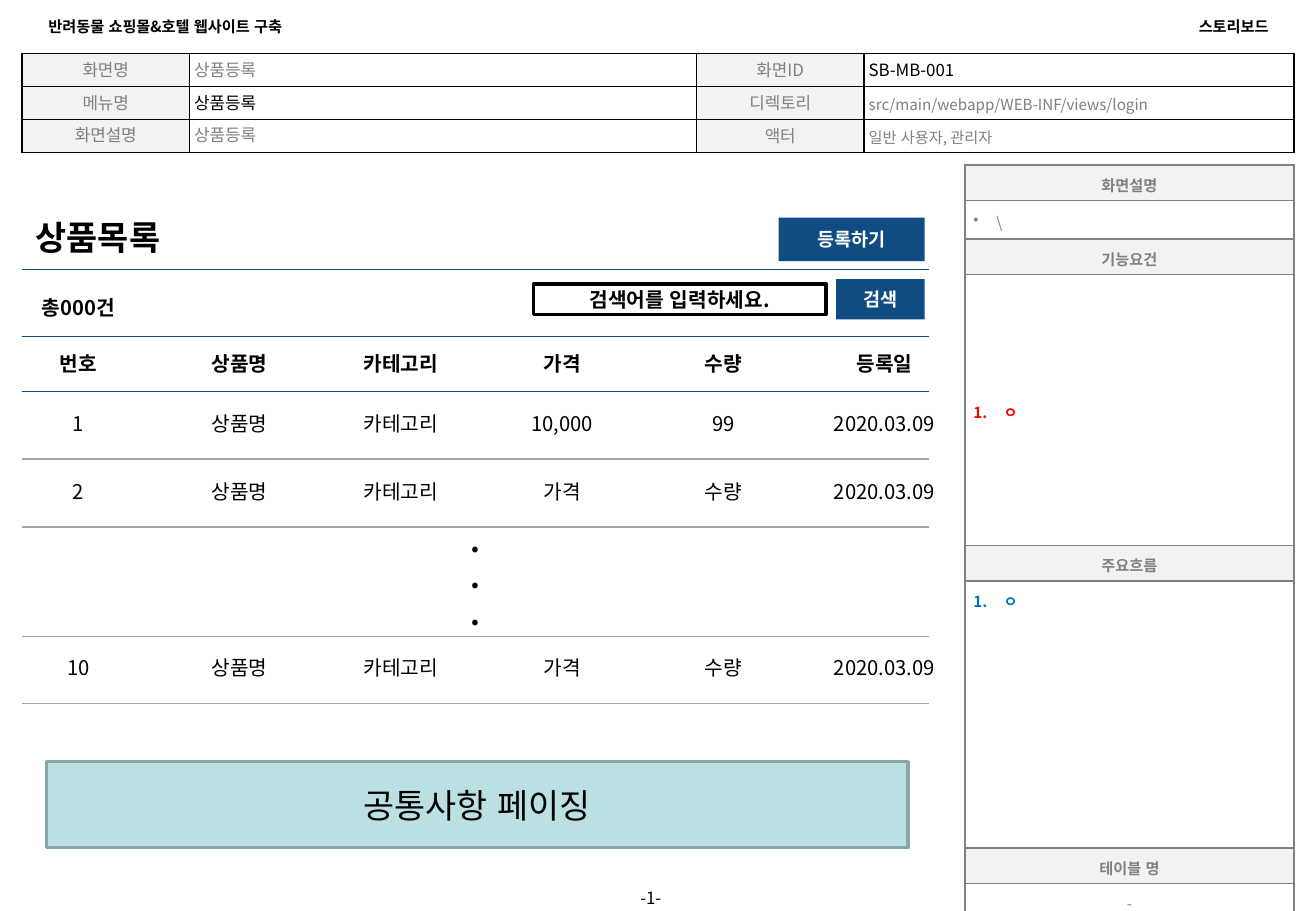
import lxml.etree
import pptx
import pptx.dml.color
import pptx.enum.dml
import pptx.enum.lang
import pptx.enum.shapes
import pptx.enum.text
import pptx.oxml
import pptx.oxml.ns
import pptx.util

Cm = pptx.util.Cm
Pt = pptx.util.Pt
qn = pptx.oxml.ns.qn
colour = pptx.dml.color.RGBColor.from_string
LEFT, CENTER, RIGHT = (getattr(pptx.enum.text.PP_ALIGN, name) for name in ("LEFT", "CENTER", "RIGHT"))
MIDDLE, TOP = pptx.enum.text.MSO_ANCHOR.MIDDLE, pptx.enum.text.MSO_ANCHOR.TOP
FONT = "Noto Sans CJK KR"
BLACK, GREY, PALE, NAVY, SILVER = "000000", "808080", "F2F2F2", "0F4C81", "A6A6A6"


def write_text(frame, text, size, color=BLACK, bold=False, align=CENTER, spacing=None, bullet=None):
    frame.word_wrap = True
    font_format = {"name": FONT, "size": Pt(size), "bold": bold,
                   "language_id": pptx.enum.lang.MSO_LANGUAGE_ID.KOREAN}
    for index, line in enumerate(text.split("\n")):
        paragraph = frame.add_paragraph() if index else frame.paragraphs[0]
        paragraph.alignment = align
        paragraph.line_spacing = spacing
        if bullet:
            tag, attribute, value, indent = bullet
            properties = paragraph._p.get_or_add_pPr()
            properties.set("marL", str(Cm(indent)))
            properties.set("indent", str(-Cm(indent)))
            lxml.etree.SubElement(properties, qn(tag)).set(attribute, value)
        run = paragraph.add_run()
        run.text = line
        for name, value in font_format.items():
            setattr(run.font, name, value)
        run.font.color.rgb = colour(color)
        lxml.etree.SubElement(run._r.get_or_add_rPr(), qn("a:ea")).set("typeface", FONT)


def add_grid(left, top, widths, heights, margins, border, cells):
    table = slide.shapes.add_table(len(heights), len(widths), Cm(left), Cm(top),
                                   Cm(sum(widths)), Cm(sum(heights))).table
    table.first_row = table.horz_banding = False
    for column, width in zip(table.columns, widths):
        column.width = Cm(width)
    for row, height in zip(table.rows, heights):
        row.height = Cm(height)
    for cell, (fill, anchor, text_format) in zip(table.iter_cells(), cells):
        cell.vertical_anchor = anchor
        for side, margin in zip(("left", "top", "right", "bottom"), margins):
            setattr(cell, "margin_" + side, Cm(margin))
        write_text(cell.text_frame, **text_format)
        properties = cell._tc.get_or_add_tcPr()
        for tag in ("a:lnL", "a:lnR", "a:lnT", "a:lnB"):
            edge = lxml.etree.SubElement(properties, qn(tag), w=str(Pt(1)))
            solid = lxml.etree.SubElement(edge, qn("a:solidFill"))
            lxml.etree.SubElement(solid, qn("a:srgbClr")).set("val", border)
        if fill:
            cell.fill.solid()
            cell.fill.fore_color.rgb = colour(fill)
        else:
            cell.fill.background()


presentation = pptx.Presentation()
presentation.slide_width, presentation.slide_height = Cm(27.51), Cm(19.05)
slide = presentation.slides.add_slide(presentation.slide_layouts[6])

screen_rows = [
    ("화면명", "상품등록", GREY, "화면ID", "SB-MB-001", 10, BLACK),
    ("메뉴명", "상품등록", BLACK, "디렉토리", "src/main/webapp/WEB-INF/views/login", 9, GREY),
    ("화면설명", "상품등록", GREY, "액터", "일반 사용자, 관리자", 9, GREY),
]
screen_cells = []
for label, value, value_color, detail_label, detail, detail_size, detail_color in screen_rows:
    spacing = Pt(12) if label == "화면설명" else Pt(13.8)
    screen_cells += [
        (PALE, MIDDLE, dict(text=label, size=10, color=GREY, spacing=spacing)),
        (None, MIDDLE, dict(text=value, size=10, color=value_color, align=LEFT, spacing=spacing)),
        (PALE, MIDDLE, dict(text=detail_label, size=10, color=GREY, spacing=Pt(13.8))),
        (None, MIDDLE, dict(text=detail, size=detail_size, color=detail_color, align=LEFT,
                            spacing=Pt(13.8))),
    ]
add_grid(0.46, 1.12, [3.5, 10.6, 3.5, 8.99], [0.69] * 3, [0.1] * 4, BLACK, screen_cells)

heading = dict(size=9, color=GREY, bold=True)
numbered = dict(text="ㅇ", size=9, bold=True, align=LEFT,
                bullet=("a:buAutoNum", "type", "arabicPeriod", 0.63))
side_margins = [0.18, 0.18, 0.18, 0.1]
add_grid(20.17, 3.45, [6.88], [0.66, 0.81, 0.66, 5.66, 0.66, 6.05], side_margins, GREY, [
    (PALE, MIDDLE, dict(heading, text="화면설명")),
    (None, MIDDLE, dict(text="\\", size=9, color=GREY, align=LEFT,
                        bullet=("a:buChar", "char", "•", 0.48))),
    (PALE, MIDDLE, dict(heading, text="기능요건")),
    (None, MIDDLE, dict(numbered, color="FF0000")),
    (PALE, MIDDLE, dict(heading, text="주요흐름")),
    ("FFFFFF", TOP, dict(numbered, color="0070C0")),
])
add_grid(20.17, 17.73, [6.88], [0.66, 0.66], side_margins, GREY, [
    (PALE, MIDDLE, dict(heading, text="테이블 명")),
    (None, MIDDLE, dict(text="-", size=9, color=GREY)),
])

rules = [(5.64, NAVY), (7.04, NAVY), (8.18, NAVY), (9.6, SILVER), (11.02, SILVER),
         (13.31, SILVER), (14.71, SILVER)]
for top, color in rules:
    rule = slide.shapes.add_connector(pptx.enum.shapes.MSO_CONNECTOR.STRAIGHT,
                                      Cm(0.46), Cm(top), Cm(19.43), Cm(top))
    rule.line.color.rgb = colour(color)
    rule.line.width = Pt(0.75)
    lxml.etree.SubElement(rule._element.spPr, qn("a:effectLst"))

boxes = [
    (0.03, 4.45, 4.04, 1.02, "FFFFFF", None, dict(text="상품목록", size=20, bold=True)),
    (16.28, 4.55, 3.05, 0.91, NAVY, None, dict(text="등록하기", size=11, color="FFFFFF", bold=True)),
    (11.15, 5.94, 6.12, 0.64, None, BLACK, dict(text="검색어를 입력하세요.", size=12, bold=True)),
    (17.48, 5.84, 1.85, 0.84, NAVY, None, dict(text="검색", size=11, color="FFFFFF", bold=True)),
    (0.97, 15.93, 18.01, 1.8, "BBE0E3", "8AA6A8", dict(text="공통사항 페이징", size=20)),
]
for left, top, width, height, fill, outline, text_format in boxes:
    box = slide.shapes.add_shape(pptx.enum.shapes.MSO_SHAPE.RECTANGLE,
                                 Cm(left), Cm(top), Cm(width), Cm(height))
    box.shadow.inherit = False
    if fill:
        box.fill.solid()
        box.fill.fore_color.rgb = colour(fill)
    else:
        box.fill.background()
    if outline:
        box.line.color.rgb = colour(outline)
        box.line.width = Pt(2)
    else:
        box.line.fill.background()
    box.text_frame.vertical_anchor = MIDDLE
    write_text(box.text_frame, **text_format)

labels = [
    (0.76, 0.23, 7.59, 0.64, dict(text="반려동물 쇼핑몰&호텔 웹사이트 구축", size=9, bold=True, align=LEFT)),
    (19.18, 0.23, 7.59, 0.64, dict(text="스토리보드", size=9, bold=True, align=RIGHT)),
    (12.6, 18.57, 2.01, 0.41, dict(text="-1-", size=10)),
    (0.46, 6.1, 2.36, 0.64, dict(text="총000건", size=12, bold=True)),
    (9.55, 11.38, 0.79, 1.35, dict(text=".\n.\n.", size=18, bold=True, spacing=Pt(21.6))),
]
product_rows = [
    (7.29, ["번호", "상품명", "카테고리", "가격", "수량", "등록일"]),
    (8.53, ["1", "상품명", "카테고리", "10,000", "99", "2020.03.09"]),
    (9.96, ["2", "상품명", "카테고리", "가격", "수량", "2020.03.09"]),
    (13.64, ["10", "상품명", "카테고리", "가격", "수량", "2020.03.09"]),
]
for top, values in product_rows:
    for column, value in enumerate(values):
        width = 2.74 if value == "2020.03.09" else 2.36
        center = 1.64 + 3.37 * column
        labels.append((center - width / 2, top, width, 0.64,
                       dict(text=value, size=12, bold=values[0] == "번호")))
for left, top, width, height, text_format in labels:
    label = slide.shapes.add_textbox(Cm(left), Cm(top), Cm(width), Cm(height))
    label.text_frame.vertical_anchor = MIDDLE
    write_text(label.text_frame, **text_format)

presentation.save("out.pptx")
